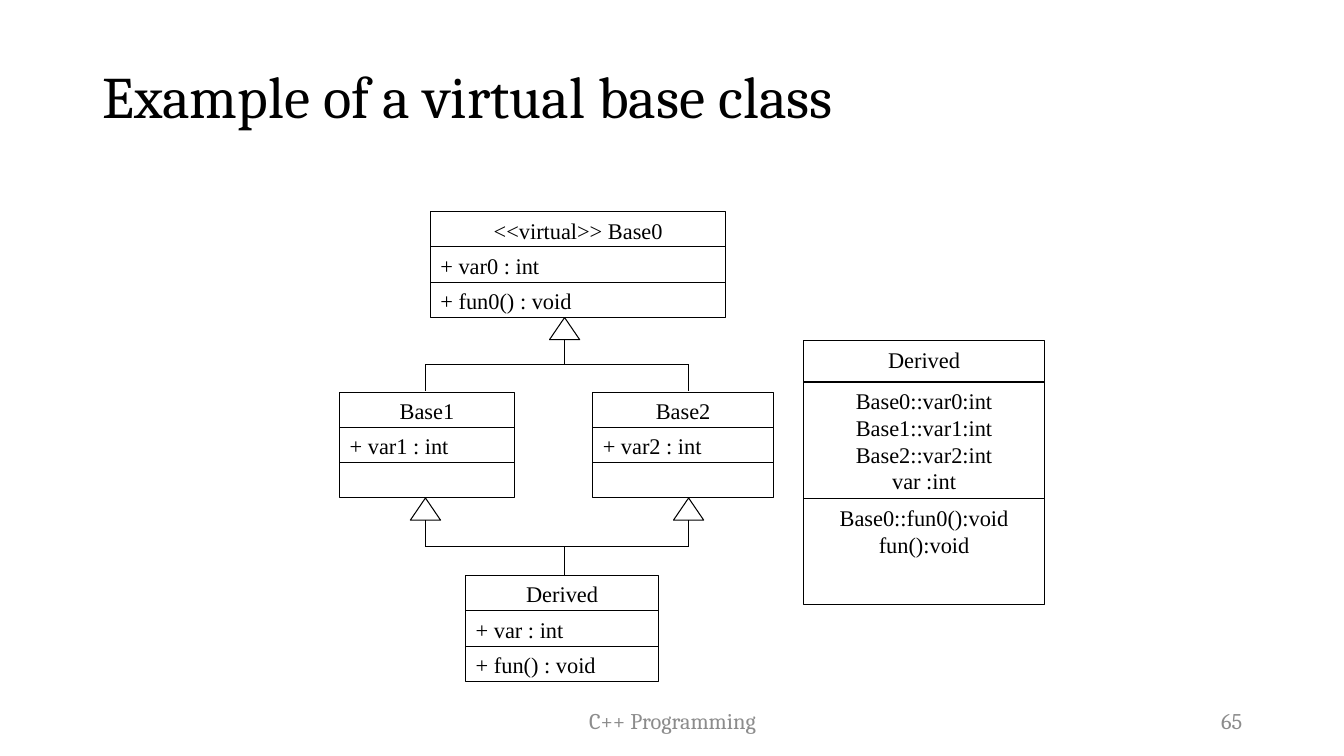
import pptx
import pptx.dml.color
import pptx.enum.shapes
import pptx.enum.text
import pptx.oxml
import pptx.util

Inches = pptx.util.Inches
Pt = pptx.util.Pt
Shape = pptx.enum.shapes.MSO_SHAPE
Align = pptx.enum.text.PP_ALIGN
Anchor = pptx.enum.text.MSO_ANCHOR

BLACK = pptx.dml.color.RGBColor(0x00, 0x00, 0x00)
WHITE = pptx.dml.color.RGBColor(0xFF, 0xFF, 0xFF)
GREY = pptx.dml.color.RGBColor(0x8C, 0x8C, 0x8C)

ROW = 0.35
TRI_W, TRI_H = 0.3, 0.22
LEFT_X, MID_X, RIGHT_X = 4.22, 5.6, 6.83


class ClassDiagram:
    heading_font = "Cambria"
    diagram_font = "Times New Roman"
    size = 16
    line_width = 0.75

    def __init__(self, prs):
        self.s = prs.slides.add_slide(prs.slide_layouts[5])

    def set_text(self, tf, lines, font, size, color, align, anchor):
        tf.word_wrap = True
        tf.auto_size = pptx.enum.text.MSO_AUTO_SIZE.NONE
        tf.vertical_anchor = anchor
        for i, line in enumerate(lines):
            p = tf.add_paragraph() if i else tf.paragraphs[0]
            p.text = line
            p.alignment = align
            p.font.name = font
            p.font.size = Pt(size)
            p.font.color.rgb = color

    def title(self, text, x, y, w, h):
        sp = self.s.shapes.title
        sp.left, sp.top, sp.width, sp.height = map(Inches, (x, y, w, h))
        self.set_text(sp.text_frame, [text], self.heading_font, 42, BLACK,
                      Align.LEFT, Anchor.MIDDLE)
        sp.text_frame.paragraphs[0].line_spacing = 0.9

    def footer(self, text, x, w, align):
        sp = self.s.shapes.add_textbox(Inches(x), Inches(6.95), Inches(w), Inches(0.4))
        self.set_text(sp.text_frame, [text], self.heading_font, self.size, GREY,
                      align, Anchor.MIDDLE)

    def shape(self, kind, x, y, w, h):
        sp = self.s.shapes.add_shape(kind, Inches(x), Inches(y), Inches(w), Inches(h))
        sp.shadow.inherit = False
        sp.line.color.rgb = BLACK
        sp.line.width = Pt(self.line_width)
        return sp

    def class_box(self, x, y, w, rows, heights=(ROW, ROW, ROW), member_align=Align.LEFT):
        for i, (lines, h) in enumerate(zip(rows, heights)):
            sp = self.shape(Shape.RECTANGLE, x, y, w, h)
            sp.fill.background()
            self.set_text(sp.text_frame, lines, self.diagram_font, self.size, BLACK,
                          member_align if i else Align.CENTER, Anchor.TOP)
            y += h

    def triangle(self, x, y):
        sp = self.shape(Shape.ISOSCELES_TRIANGLE, x - TRI_W / 2, y, TRI_W, TRI_H)
        sp.fill.solid()
        sp.fill.fore_color.rgb = WHITE

    def line(self, x1, y1, x2, y2):
        c = self.s.shapes.add_connector(
            pptx.enum.shapes.MSO_CONNECTOR.STRAIGHT,
            Inches(x1), Inches(y1), Inches(x2), Inches(y2))
        c.line.color.rgb = BLACK
        c.line.width = Pt(self.line_width)
        c._element.spPr.append(pptx.oxml.parse_xml(
            '<a:effectLst xmlns:a="http://schemas.openxmlformats.org/drawingml/2006/main"/>'))

    def inheritance(self, parents, children, top, bar, bottom):
        for x in parents:
            self.triangle(x, top)
            self.line(x, top + TRI_H, x, bar)
        self.line(LEFT_X, bar, RIGHT_X, bar)
        for x in children:
            self.line(x, bar, x, bottom)


def main():
    prs = pptx.Presentation()
    prs.slide_width = Inches(13.33)
    prs.slide_height = Inches(7.5)
    d = ClassDiagram(prs)

    d.title("Example of a virtual base class", 0.92, 0.26, 11.5, 1.45)
    d.footer("C++ Programming", 4.42, 4.5, Align.CENTER)
    d.footer("65", 9.42, 3, Align.RIGHT)

    d.class_box(4.27, 2.1, 2.93, [["<<virtual>> Base0"], ["+ var0 : int"], ["+ fun0() : void"]])
    d.class_box(3.37, 3.89, 1.73, [["Base1"], ["+ var1 : int"], []])
    d.class_box(5.88, 3.89, 1.79, [["Base2"], ["+ var2 : int"], []])
    d.class_box(4.62, 5.71, 1.91, [["Derived"], ["+ var : int"], ["+ fun() : void"]])
    d.class_box(
        7.97, 3.38, 2.39,
        [["Derived"],
         ["Base0::var0:int", "Base1::var1:int", "Base2::var2:int", "var :int"],
         ["Base0::fun0():void", "fun():void"]],
        heights=(0.41, 1.16, 1.05), member_align=Align.CENTER)

    d.inheritance([MID_X], [LEFT_X, RIGHT_X], 3.15, 3.62, 3.88)
    d.inheritance([LEFT_X, RIGHT_X], [MID_X], 4.94, 5.42, 5.71)

    prs.save("out.pptx")


if __name__ == "__main__":
    main()
